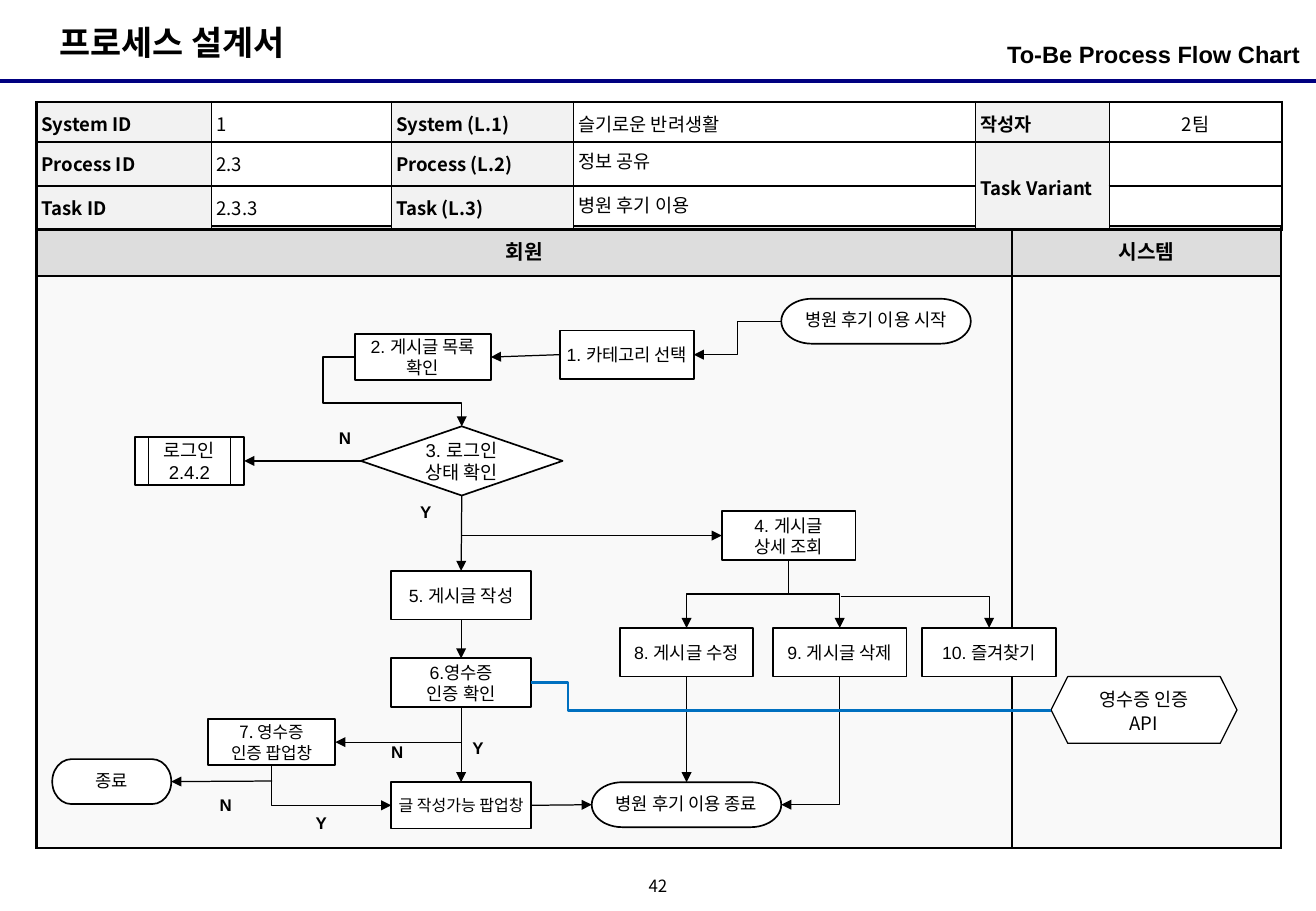
from dataclasses import dataclass

from lxml.etree import SubElement
from pptx import Presentation
from pptx.dml.color import RGBColor
from pptx.enum.shapes import MSO_CONNECTOR, MSO_SHAPE
from pptx.enum.text import MSO_ANCHOR, PP_ALIGN
from pptx.oxml.ns import qn
from pptx.util import Emu, Pt

ARIAL, NOTO = "Arial", "Noto Sans CJK KR"
BLACK, WHITE, BLUE = "000000", "FFFFFF", "0070C0"
LABEL_FILL, LANE_HEAD, LANE_BODY = "F2F2F2", "DDDDDD", "F9F9F9"
TOP, LEFT, BOTTOM, RIGHT = range(4)
TERM, DIAMOND = MSO_SHAPE.FLOWCHART_TERMINATOR, MSO_SHAPE.FLOWCHART_DECISION
LOGIN, RECT, HEX = MSO_SHAPE.FLOWCHART_PREDEFINED_PROCESS, MSO_SHAPE.RECTANGLE, MSO_SHAPE.HEXAGON


@dataclass
class Node:
    key: str
    text: str
    x: int
    y: int
    w: int
    h: int
    kind: MSO_SHAPE = RECT
    size: float = 10.5
    font: str = ARIAL


@dataclass
class Link:
    start: str | tuple[int, int]
    start_site: int
    end: str | tuple[int, int]
    end_site: int
    bends: int = 0
    adj: tuple[float, ...] = ()
    color: str = BLACK
    width: float = 0.75
    arrow: bool = True


def px(n: float) -> Emu:
    """One px is a hundredth of an inch."""
    return Emu(round(n * 9144))


def rgb(color: str) -> RGBColor:
    return RGBColor.from_string(color)


def write(tf, text: str, size: float, font: str = ARIAL, bold: bool = False,
          align: PP_ALIGN = PP_ALIGN.LEFT, spacing: float = 1.0) -> None:
    tf.text = text
    for p in tf.paragraphs:
        p.alignment = align
        p.line_spacing = spacing
        for r in p.runs:
            r.font.size, r.font.name, r.font.bold = Pt(size), font, bold
            r.font.color.rgb = rgb(BLACK)
            SubElement(r.font._element, qn("a:ea"), typeface=NOTO)


def frame(tf, anchor: MSO_ANCHOR, mx: int, my: int, wrap: bool = True) -> None:
    tf.vertical_anchor, tf.word_wrap = anchor, wrap
    tf.margin_left = tf.margin_right = px(mx)
    tf.margin_top = tf.margin_bottom = px(my)


def add_label(s, text: str, x: int, y: int, w: int, h: int, size: float = 10, mx: int = 10,
              my: int = 5, font: str = ARIAL, bold: bool = True, wrap: bool = False,
              anchor: MSO_ANCHOR = MSO_ANCHOR.TOP, align: PP_ALIGN = PP_ALIGN.LEFT) -> None:
    tf = s.shapes.add_textbox(px(x), px(y), px(w), px(h)).text_frame
    frame(tf, anchor, mx, my, wrap)
    write(tf, text, size, font, bold, align)


def add_grid(s, x: int, y: int, cols: list[int], rows: list[int]):
    tbl = s.shapes.add_table(len(rows), len(cols), px(x), px(y), px(sum(cols)), px(sum(rows))).table
    tbl.first_row = tbl.horz_banding = False
    for col, w in zip(tbl.columns, cols):
        col.width = px(w)
    for row, h in zip(tbl.rows, rows):
        row.height = px(h)
    return tbl


def style_cell(cell, fill: str | None, borders: tuple[float, ...], mx: int, my: int,
               anchor: MSO_ANCHOR) -> None:
    """Borders are left, right, top and bottom widths in points."""
    cell.vertical_anchor = anchor
    cell.margin_left = cell.margin_right = px(mx)
    cell.margin_top = cell.margin_bottom = px(my)
    if fill:
        cell.fill.solid()
        cell.fill.fore_color.rgb = rgb(fill)
    else:
        cell.fill.background()
    tc_pr = cell._tc.get_or_add_tcPr()
    for i, (side, width) in enumerate(zip("LRTB", borders)):
        ln = SubElement(tc_pr, qn(f"a:ln{side}"), w=str(Pt(width)))
        SubElement(SubElement(ln, qn("a:solidFill")), qn("a:srgbClr"), val=BLACK)
        tc_pr.insert(i, ln)


def add_node(s, n: Node):
    sp = s.shapes.add_shape(n.kind, px(n.x), px(n.y), px(n.w), px(n.h))
    sp.shadow.inherit = False
    sp.fill.solid()
    sp.fill.fore_color.rgb = rgb(WHITE)
    sp.line.color.rgb = rgb(BLACK)
    sp.line.width = Pt(0.75 if n.kind == HEX else 1)
    frame(sp.text_frame, MSO_ANCHOR.MIDDLE, *((10, 10) if n.kind == HEX else (2, 0)))
    write(sp.text_frame, n.text, n.size, n.font, align=PP_ALIGN.CENTER,
          spacing={TERM: 0.9, HEX: 1.1}.get(n.kind, 1.0))
    return sp


def bend(c, link: Link) -> None:
    """Shape an elbow; one that leaves from a bottom side is turned to go down first."""
    dx, dy = c.end_x - c.begin_x, c.end_y - c.begin_y
    mid_x, mid_y = (c.begin_x + c.end_x) // 2, (c.begin_y + c.end_y) // 2
    down = link.start_site == BOTTOM
    w, h = (abs(dy), abs(dx)) if down else (abs(dx), abs(dy))
    c.left, c.top, c.width, c.height = (Emu(v) for v in (mid_x - w // 2, mid_y - h // 2, w, h))
    xfrm = c._element.spPr.find(qn("a:xfrm"))
    xfrm.set("rot", str((90 if dx < 0 else 270) * 60000 if down else 0))
    xfrm.set("flipH", str(int((dx > 0) if down else (dx < 0))))
    xfrm.set("flipV", str(int(not down and dy < 0)))
    geom = c._element.spPr.find(qn("a:prstGeom"))
    geom.set("prst", f"bentConnector{link.bends + 1}")
    guides = geom.find(qn("a:avLst"))
    if guides is None:
        guides = SubElement(geom, qn("a:avLst"))
    for i, value in enumerate(link.adj, 1):
        SubElement(guides, qn("a:gd"), name=f"adj{i}", fmla=f"val {round(value * 100000)}")


def add_link(s, link: Link, shapes: dict) -> None:
    ends = [(0, 0) if isinstance(e, str) else e for e in (link.start, link.end)]
    kind = MSO_CONNECTOR.ELBOW if link.bends else MSO_CONNECTOR.STRAIGHT
    c = s.shapes.add_connector(kind, *(px(v) for e in ends for v in e))
    if isinstance(link.start, str):
        c.begin_connect(shapes[link.start], link.start_site)
    if isinstance(link.end, str):
        c.end_connect(shapes[link.end], link.end_site)
    if link.bends:
        bend(c, link)
    c.line.color.rgb = rgb(link.color)
    c.line.width = Pt(link.width)
    if link.arrow:
        SubElement(c._element.spPr.find(qn("a:ln")), qn("a:tailEnd"), type="triangle")
    SubElement(c._element.spPr, qn("a:effectLst"))


INFO = [["System ID", "1", "System (L.1)", "슬기로운 반려생활", "작성자", "2팀"],
        ["Process ID", "2.3", "Process (L.2)", "정보 공유", "Task Variant", ""],
        ["Task ID", "2.3.3", "Task (L.3)", "병원 후기 이용", "", ""]]
NODES = [
    Node("begin", "병원 후기 이용 시작", 643, 246, 156, 37, TERM),
    Node("category", "1. 카테고리 선택", 461, 272, 110, 40),
    Node("list", "2. 게시글 목록 확인", 292, 275, 112, 38),
    Node("state", "3. 로그인\n상태 확인", 297, 351, 166, 57, DIAMOND, 11),
    Node("login", "로그인\n2.4.2", 111, 360, 90, 39, LOGIN, 11),
    Node("detail", "4. 게시글\n상세 조회", 594, 421, 110, 40),
    Node("post", "5. 게시글 작성", 322, 470, 115, 40),
    Node("receipt", "6.영수증\n인증 확인", 322, 542, 115, 40),
    Node("popup", "7. 영수증\n인증 팝업창", 171, 592, 105, 38, size=10, font=NOTO),
    Node("edit", "8. 게시글 수정", 510, 517, 110, 40),
    Node("delete", "9. 게시글 삭제", 636, 517, 110, 40),
    Node("favorite", "10. 즐겨찾기", 759, 517, 110, 40),
    Node("allowed", "글 작성가능 팝업창", 322, 644, 115, 38, size=9.5),
    Node("finish", "병원 후기 이용 종료", 487, 644, 156, 37, TERM),
    Node("quit", "종료", 43, 625, 98, 37, TERM),
    Node("api", "영수증 인증 API", 865, 557, 153, 55, HEX, 11, NOTO)]
LINKS = [
    Link("begin", LEFT, "category", RIGHT, 2, (0.5,)),
    Link("category", LEFT, "list", RIGHT),
    Link("list", LEFT, "state", TOP, 3, (-0.297, 0.664)),
    Link("state", LEFT, "login", RIGHT),
    Link("state", BOTTOM, "post", TOP),
    Link("state", BOTTOM, "detail", LEFT, 1),
    Link("detail", BOTTOM, "edit", TOP, 2, (0.5,)),
    Link("detail", BOTTOM, "delete", TOP, 2, (0.5,)),
    Link((692, 491), RIGHT, "favorite", TOP, 1),
    Link("edit", BOTTOM, "finish", TOP),
    Link("delete", BOTTOM, "finish", RIGHT, 1),
    Link("post", BOTTOM, "receipt", TOP),
    Link("receipt", BOTTOM, "allowed", TOP),
    Link((380, 611), LEFT, "popup", RIGHT),
    Link("popup", BOTTOM, "allowed", LEFT, 1),
    Link((224, 643), LEFT, "quit", RIGHT),
    Link("allowed", RIGHT, "finish", LEFT),
    Link("receipt", RIGHT, (865, 585), LEFT, 2, (0.071,), BLUE, 1.5, False)]
ANSWERS = [("N", 269, 347), ("Y", 336, 408), ("N", 312, 606), ("Y", 379, 602),
           ("Y", 250, 664), ("N", 171, 649)]

prs = Presentation()
prs.slide_width, prs.slide_height = px(1083), px(750)
s = prs.slides.add_slide(prs.slide_layouts[5])

# Heading and page number
title = s.shapes.title
title.left, title.top, title.width, title.height = px(39), px(13), px(226), px(44)
frame(title.text_frame, MSO_ANCHOR.TOP, 10, 5, wrap=False)
write(title.text_frame, "프로세스 설계서", 20, bold=True)
add_link(s, Link((0, 67), RIGHT, (1083, 67), LEFT, color="000080", width=2.25, arrow=False), {})
add_label(s, "To-Be Process Flow Chart", 739, 28, 331, 39, 14, mx=0, wrap=True, align=PP_ALIGN.RIGHT)
add_label(s, "42", 525, 717, 33, 25, mx=0, my=0, font=NOTO, bold=False, wrap=True,
          anchor=MSO_ANCHOR.MIDDLE, align=PP_ALIGN.CENTER)

# Swim lanes
lanes = add_grid(s, 30, 186, [803, 221], [41, 471])
for i, lane in enumerate(["회원", "시스템"]):
    for j, fill in enumerate([LANE_HEAD, LANE_BODY]):
        style_cell(lanes.cell(j, i), fill, (1.5,) * 4, 10, 5, MSO_ANCHOR.MIDDLE)
    write(lanes.cell(0, i).text_frame, lane, 12, bold=True, align=PP_ALIGN.CENTER)

# Process information
info = add_grid(s, 30, 84, [144, 148, 150, 331, 110, 142], [33, 36, 36])
info.cell(1, 4).merge(info.cell(2, 4))
for i, row in enumerate(INFO):
    for j, text in enumerate(row):
        cell = info.cell(i, j)
        if cell.is_spanned:
            continue
        is_label = j % 2 == 0
        outer = (j == 0, j == 5, i == 0, i == 2 or cell.is_merge_origin)
        style_cell(cell, LABEL_FILL if is_label else None, tuple(1.5 if o else 1 for o in outer),
                   4, 4, MSO_ANCHOR.MIDDLE if j > 3 else MSO_ANCHOR.TOP)
        if text:
            write(cell.text_frame, text, 11, NOTO, is_label,
                  PP_ALIGN.CENTER if j == 5 else PP_ALIGN.LEFT, 1.0 if j == 3 and i else 1.1)
        else:
            SubElement(cell.text_frame.paragraphs[0]._p, qn("a:endParaRPr"), sz="1100")

# Flow chart
shapes = {n.key: add_node(s, n) for n in NODES}
for link in LINKS:
    add_link(s, link, shapes)
for text, x, y in ANSWERS:
    add_label(s, text, x, y, 31 if text == "N" else 44, 27)

prs.save("out.pptx")
